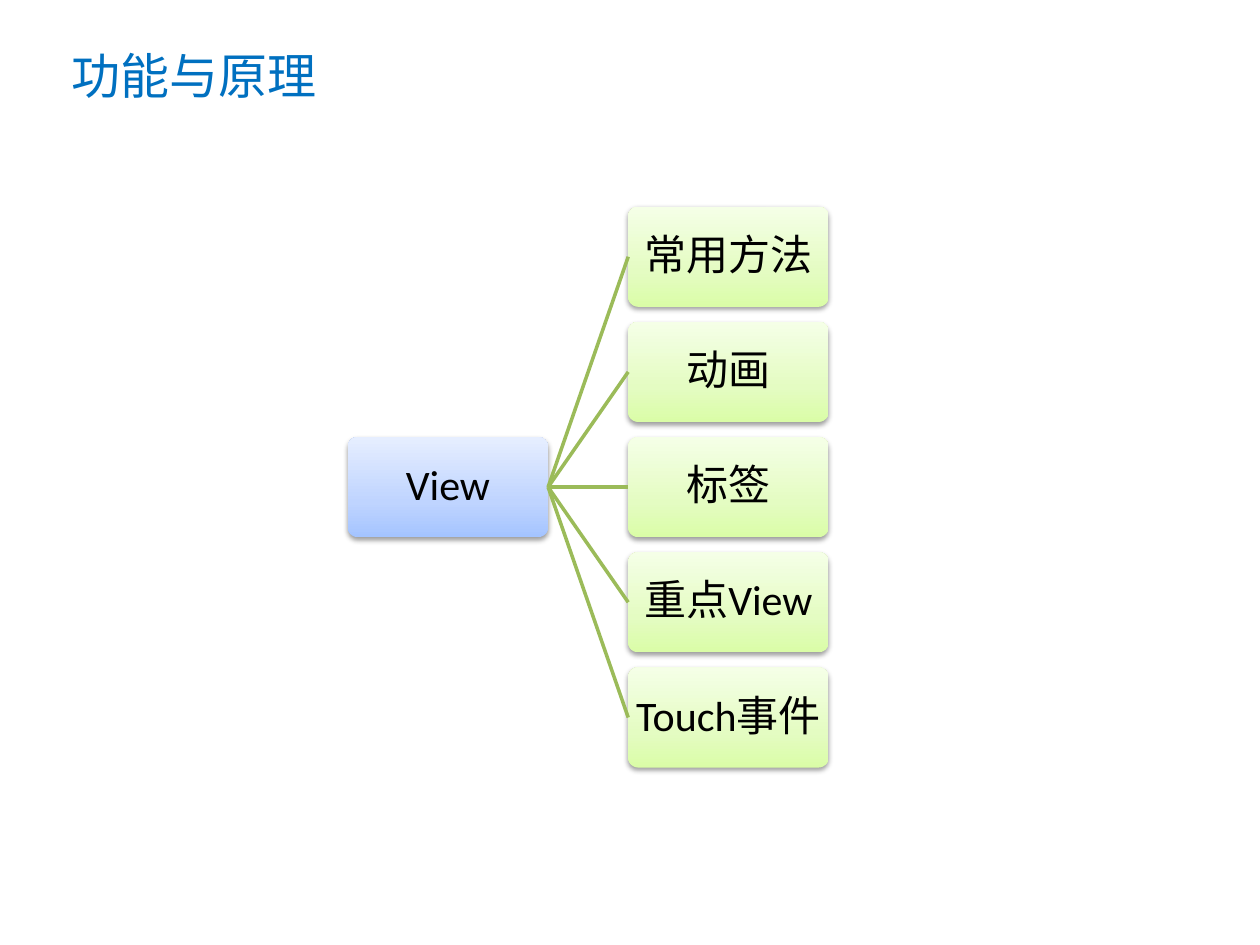
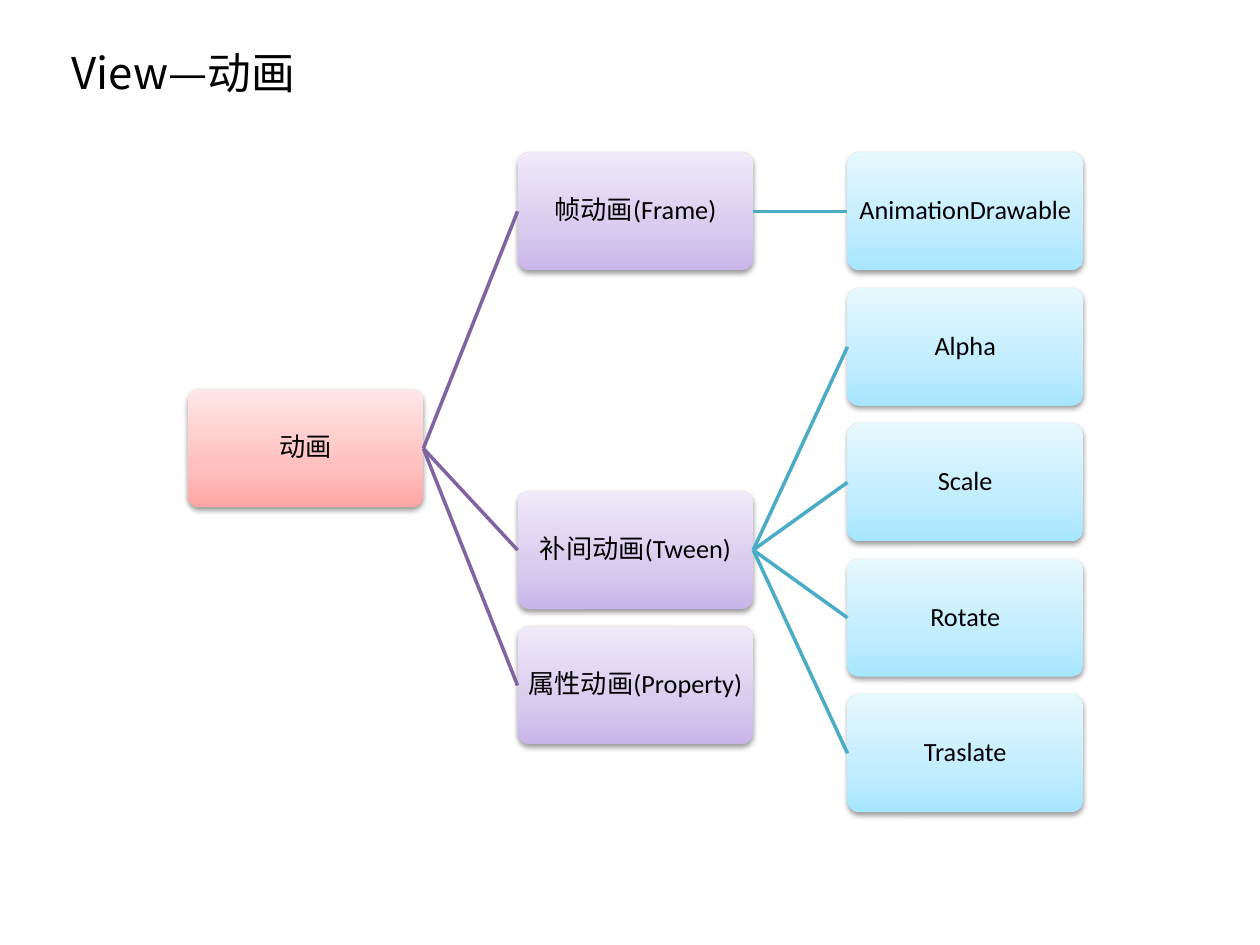
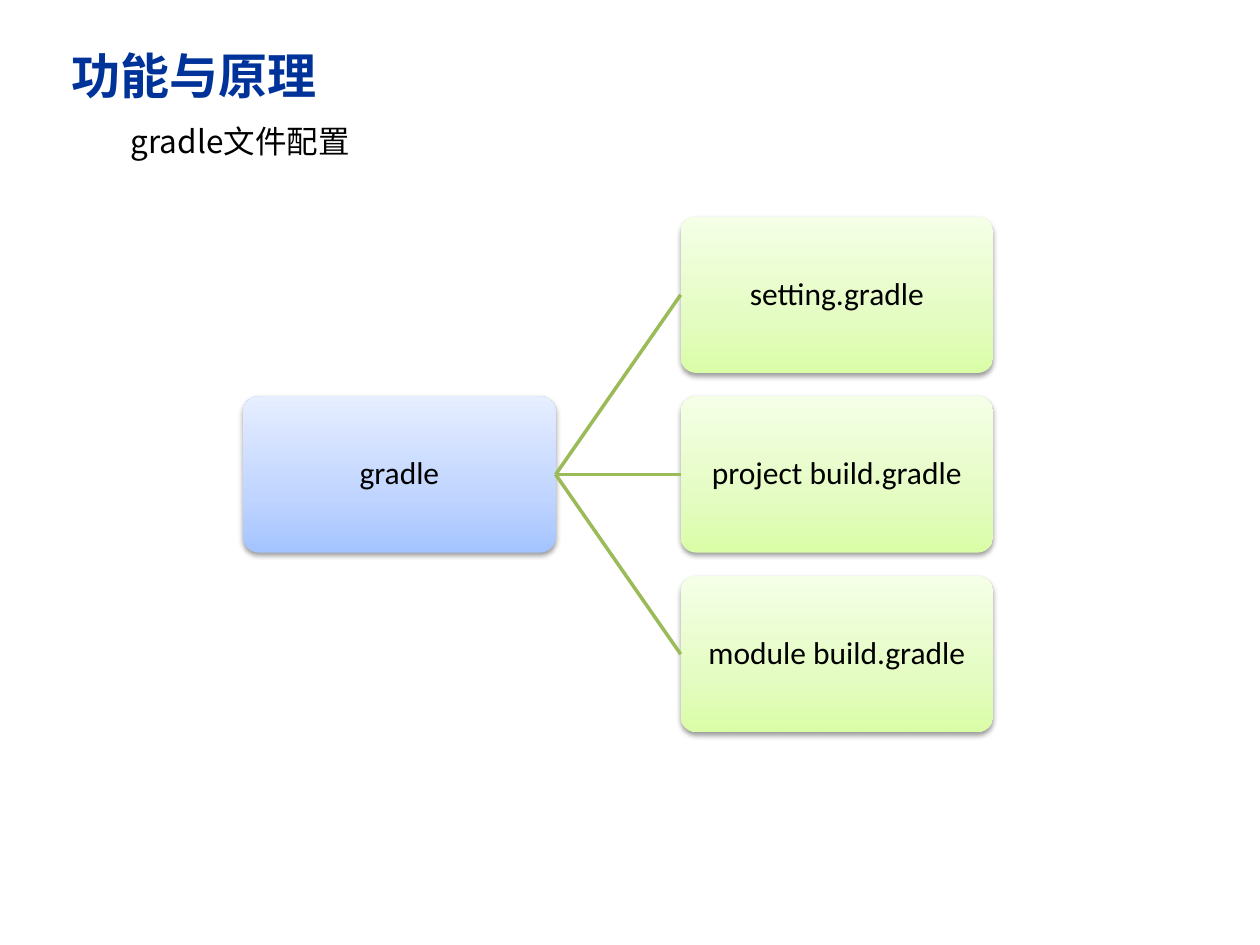
from collections import defaultdict
from dataclasses import dataclass

from lxml.etree import SubElement
from pptx import Presentation
from pptx.dml.color import RGBColor
from pptx.enum.shapes import MSO_CONNECTOR, MSO_SHAPE
from pptx.enum.text import MSO_ANCHOR, PP_ALIGN
from pptx.oxml import parse_xml
from pptx.oxml.ns import nsdecls, qn
from pptx.util import Inches, Pt

SANS, BODY = "Noto Sans CJK SC", "Calibri"
BLACK = "000000"
LEFT, RIGHT = 1, 3  # connection sites of a box


@dataclass
class Tint:
    line: str
    stops: tuple  # bottom, lower third, top


BLUE = Tint("4F81BD", ("A4C4FF", "BFD4FF", "E6EEFF"))
GREEN = Tint("9BBB59", ("DAFDA7", "E4FCC2", "F5FFE7"))
RED = Tint("C0504D", ("FFA6A5", "FFC0BF", "FFE7E7"))
PURPLE = Tint("8064A2", ("C9B5E8", "D8CBEE", "F0EAF9"))
AQUA = Tint("4BACC6", ("A7E6FF", "C1EDFF", "E7F8FF"))

# Trees: (label, children)
VIEW = ("View", [(label, []) for label in
                 ("常用方法", "动画", "标签", "重点View", "Touch事件")])
MOTION = ("动画", [
    ("帧动画(Frame)", [("AnimationDrawable", [])]),
    ("补间动画(Tween)", [(label, []) for label in
                     ("Alpha", "Scale", "Rotate", "Traslate")]),
    ("属性动画(Property)", []),
])
BUILD = ("gradle", [(label, []) for label in
                    ("setting.gradle", "project build.gradle",
                     "module build.gradle")])


def color(code):
    return RGBColor.from_string(code)


def add_run(para, text, size, face, code=BLACK, bold=False):
    run = para.add_run()
    run.text = text
    font = run.font
    font.size, font.name, font.bold = Pt(size), face, bold
    font.color.rgb = color(code)
    SubElement(font._element, qn("a:ea")).set("typeface", SANS)


def set_frame(frame, anchor, inset=None):
    frame.word_wrap = True
    frame.vertical_anchor = anchor
    if inset is not None:
        frame.margin_left = frame.margin_right = Inches(inset)
        frame.margin_top = frame.margin_bottom = Inches(inset)


def add_page(deck, text, width, height, size, code, bold=False):
    page = deck.slides.add_slide(deck.slide_layouts[5])
    title = page.shapes.title
    title.left, title.top = Inches(0.47), Inches(0.31)
    title.width, title.height = Inches(width), Inches(height)
    set_frame(title.text_frame, MSO_ANCHOR.TOP)
    para = title.text_frame.paragraphs[0]
    para.alignment = PP_ALIGN.LEFT
    add_run(para, text, size, SANS, code, bold)
    return page


def add_note(page, text, left, top, width, height, size):
    note = page.shapes.add_textbox(
        Inches(left), Inches(top), Inches(width), Inches(height))
    set_frame(note.text_frame, MSO_ANCHOR.TOP)
    add_run(note.text_frame.paragraphs[0], text, size, SANS)


def paint(box, tint):
    """Fill a box from bottom to top and give it a soft shadow."""
    stops = "".join(
        f'<a:gs pos="{at * 1000}"><a:srgbClr val="{code}"/></a:gs>'
        for at, code in zip((0, 35, 100), tint.stops))
    fill = parse_xml(
        f'<a:gradFill {nsdecls("a")} rotWithShape="1"><a:gsLst>{stops}'
        '</a:gsLst><a:lin ang="16200000" scaled="0"/></a:gradFill>')
    shade = parse_xml(
        f'<a:effectLst {nsdecls("a")}><a:outerShdw blurRad="{Pt(3.1)}" '
        f'dist="{Pt(1.6)}" dir="5400000" rotWithShape="0">'
        f'<a:srgbClr val="{BLACK}"><a:alpha val="38000"/></a:srgbClr>'
        '</a:outerShdw></a:effectLst>')
    box.line.fill.background()
    props = box._element.spPr
    props.find(qn("a:prstGeom")).addnext(fill)
    props.append(shade)


def add_box(page, text, left, top, width, size, tint):
    box = page.shapes.add_shape(
        MSO_SHAPE.ROUNDED_RECTANGLE, Inches(left), Inches(top),
        Inches(width), Inches(width / 2))
    box.adjustments[0] = 0.1
    paint(box, tint)
    set_frame(box.text_frame, MSO_ANCHOR.MIDDLE, 0.02)
    para = box.text_frame.paragraphs[0]
    para.alignment, para.line_spacing = PP_ALIGN.CENTER, 0.9
    add_run(para, text, size, BODY)
    return box


def add_link(page, start, end, code):
    link = page.shapes.add_connector(MSO_CONNECTOR.STRAIGHT, 0, 0, 0, 0)
    link.begin_connect(start, RIGHT)
    link.end_connect(end, LEFT)
    link.line.color.rgb, link.line.width = color(code), Pt(2)
    SubElement(link._element.spPr, qn("a:effectLst"))


def add_tree(page, root, left, top, width, size, tints):
    """Stack leaves per level and centre each parent on its children."""
    step, pitch = width * 1.4, width / 2 * 1.15
    free = defaultdict(float)  # next free row of each level

    def grow(node, level):
        text, kids = node
        grown = [grow(kid, level + 1) for kid in kids]
        row = (grown[0][1] + grown[-1][1]) / 2 if grown else free[level]
        free[level] = row + 1
        box = add_box(page, text, left + level * step, top + row * pitch,
                      width, size, tints[level])
        for kid, _ in grown:
            add_link(page, box, kid, tints[level + 1].line)
        return box, row

    grow(root, 0)


def main():
    deck = Presentation()
    deck.slide_width, deck.slide_height = Inches(10), Inches(7.5)

    # View overview
    page = add_page(deck, "功能与原理", 2.17, 0.57, 28, "0070C0")
    add_tree(page, VIEW, 2.76, 1.64, 1.59, 24, (BLUE, GREEN))

    # Kinds of animation
    page = add_page(deck, "View—动画", 2.09, 0.52, 25, BLACK)
    add_tree(page, MOTION, 1.49, 1.21, 1.87, 15, (RED, PURPLE, AQUA))

    # Build files
    page = add_page(deck, "功能与原理", 2.17, 0.57, 28, "003399", True)
    add_note(page, "gradle文件配置", 0.94, 0.92, 1.98, 0.4, 18)
    add_tree(page, BUILD, 1.93, 1.72, 2.48, 18, (BLUE, GREEN))

    deck.save("out.pptx")


if __name__ == "__main__":
    main()
